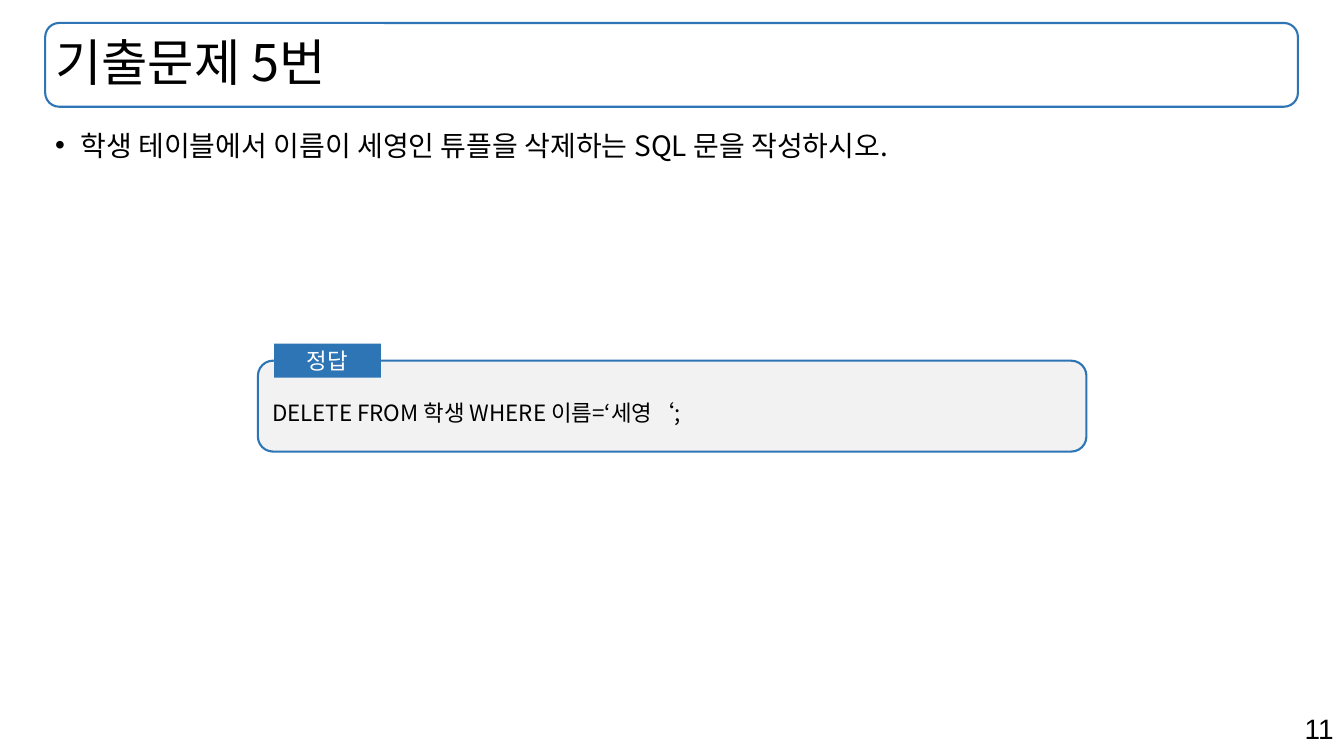
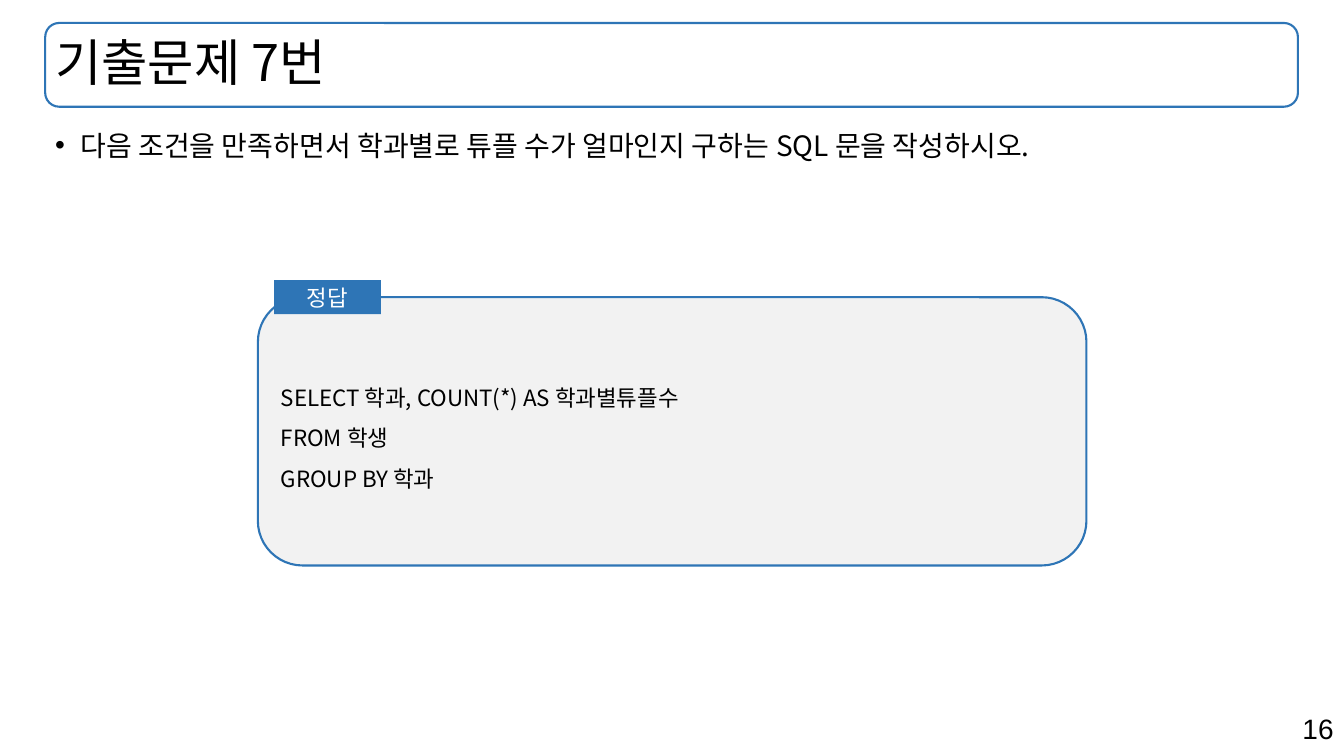
from lxml.etree import SubElement
from pptx import Presentation
from pptx.dml.color import RGBColor
from pptx.enum.shapes import MSO_SHAPE as Preset
from pptx.enum.text import MSO_ANCHOR as Anchor, PP_ALIGN as Align
from pptx.oxml.ns import qn
from pptx.util import Cm, Pt

BLUE = RGBColor(0x2E, 0x75, 0xB6)
GRAY = RGBColor(0xF2, 0xF2, 0xF2)
BLACK = RGBColor(0, 0, 0)
WHITE = RGBColor(0xFF, 0xFF, 0xFF)
KOREAN = "Noto Sans CJK KR"

SIDE, WIDE = Cm(1.14), Cm(31.57)
TITLE_TOP, TITLE_HIGH = Cm(0.58), Cm(2.11)
TAG_HIGH = Cm(0.86)

QUESTIONS = [
    ("기출문제 5번",
     "학생 테이블에서 이름이 세영인 튜플을 삭제하는 SQL 문을 작성하시오.",
     "DELETE FROM 학생 WHERE 이름=‘세영‘;",
     Cm(9.09), Cm(2.29), "11"),
    ("기출문제 7번",
     "다음 조건을 만족하면서 학과별로 튜플 수가 얼마인지 구하는 SQL 문을 작성하시오.",
     "SELECT 학과, COUNT(*) AS 학과별튜플수\nFROM 학생\nGROUP BY 학과",
     Cm(7.49), Cm(6.76), "16"),
]


def write(box, text, size, color=BLACK, font=KOREAN, align=Align.LEFT,
          anchor=Anchor.MIDDLE, spacing=1.0):
    frame = box.text_frame
    frame.text = text
    frame.word_wrap = True
    frame.vertical_anchor = anchor
    for paragraph in frame.paragraphs:
        paragraph.alignment = align
        paragraph.line_spacing = spacing
        for run in paragraph.runs:
            run.font.size = Pt(size)
            run.font.name = font
            run.font.color.rgb = color
            SubElement(run.font._element, qn("a:ea"), typeface=font)


def panel(slide, preset, left, top, width, height, fill=None, line=None):
    shape = slide.shapes.add_shape(preset, left, top, width, height)
    shape.shadow.inherit = False
    if fill is None:
        shape.fill.background()
    else:
        shape.fill.solid()
        shape.fill.fore_color.rgb = fill
    if line is None:
        shape.line.fill.background()
    else:
        shape.line.color.rgb = line
        shape.line.width = Pt(1.5)
    return shape


deck = Presentation()
deck.slide_width, deck.slide_height = Cm(33.87), Cm(19.05)

for heading, question, sql, answer_top, answer_high, number in QUESTIONS:
    slide = deck.slides.add_slide(deck.slide_layouts[6])

    page = slide.shapes.add_textbox(Cm(23.95), Cm(17.81), Cm(9.91), Cm(1.12))
    write(page, number, 20, font="Arial", align=Align.RIGHT, anchor=Anchor.TOP)

    panel(slide, Preset.ROUNDED_RECTANGLE, SIDE, TITLE_TOP, WIDE, TITLE_HIGH, line=BLUE)
    title = slide.shapes.add_textbox(SIDE, TITLE_TOP, WIDE, TITLE_HIGH)
    write(title, heading, 36, spacing=0.9)

    body = slide.shapes.add_textbox(SIDE, Cm(3.2), WIDE, Cm(14.05))
    write(body, question, 20, anchor=Anchor.TOP, spacing=0.9)
    bullet = body.text_frame.paragraphs[0]._p.get_or_add_pPr()
    bullet.set("marL", str(Cm(0.64)))
    bullet.set("indent", str(-Cm(0.64)))
    SubElement(bullet, qn("a:buFont"), typeface="Arial")
    SubElement(bullet, qn("a:buChar"), char="•")

    answer = panel(slide, Preset.ROUNDED_RECTANGLE, Cm(6.5), answer_top,
                   Cm(20.88), answer_high, GRAY, BLUE)
    write(answer, sql, 16, spacing=1.5)

    tag = panel(slide, Preset.RECTANGLE, Cm(6.91), answer_top - TAG_HIGH // 2,
                Cm(2.69), TAG_HIGH, BLUE)
    write(tag, "정답", 16, WHITE, align=Align.CENTER)

deck.save("out.pptx")
